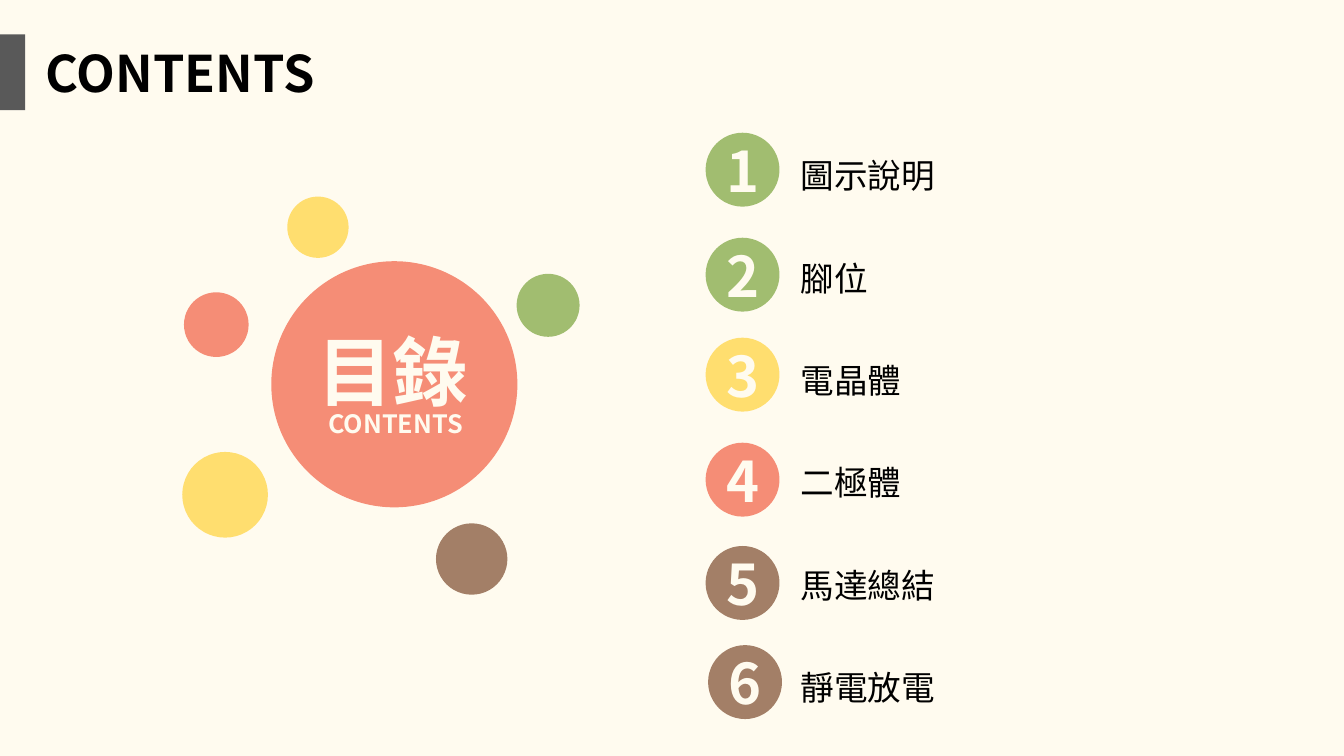
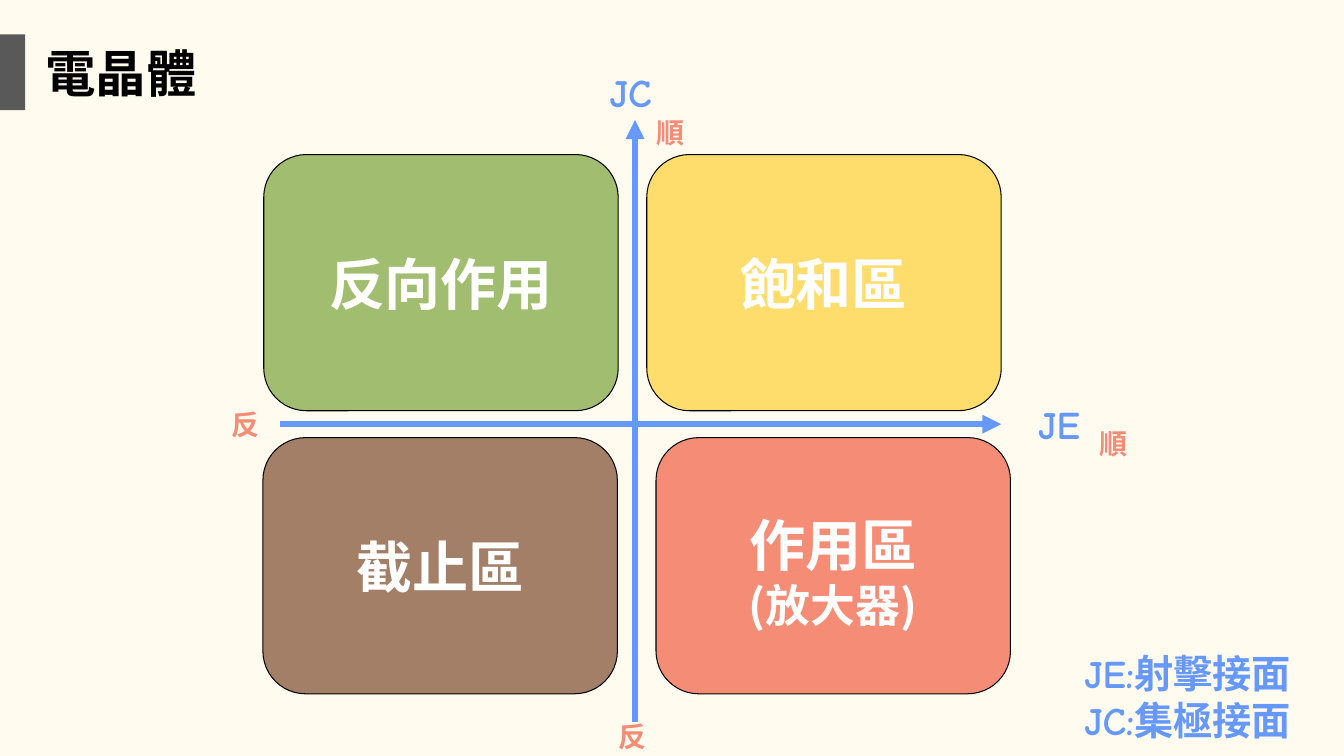
from lxml.etree import SubElement
from pptx import Presentation
from pptx.dml.color import RGBColor
from pptx.enum.shapes import MSO_CONNECTOR as Line, MSO_SHAPE as Shape
from pptx.enum.text import MSO_ANCHOR as Anchor, MSO_AUTO_SIZE as Fit, PP_ALIGN as Align
from pptx.oxml.ns import qn
from pptx.util import Inches, Pt

# Palette and fonts
CREAM, WHITE, BLACK, GREY = "FFFBEF", "FFFFFF", "000000", "595959"
GREEN, YELLOW, CORAL, BROWN = "A1BD70", "FFDE6F", "F58D76", "A37F67"
BLUE = "6699FF"
SANS, COMIC = "Noto Sans CJK SC", "Comic Neue"
LEADING = 1.2  # line pitch of stacked lines, in ems


def rgb(code):
    return RGBColor.from_string(code)


class Deck:
    """Shared style and the current slide; lengths are cells of a 160 x 90 grid."""

    COLUMNS, ROWS = 160, 90

    def __init__(self):
        self.prs = Presentation()
        self.prs.slide_width, self.prs.slide_height = Inches(13.33), Inches(7.5)
        backdrop = self.prs.slide_master.background.fill
        backdrop.solid()
        backdrop.fore_color.rgb = rgb(CREAM)
        self.slide = None

    def x(self, columns):
        return round(self.prs.slide_width * columns / self.COLUMNS)

    def y(self, rows):
        return round(self.prs.slide_height * rows / self.ROWS)

    def box(self, left, top, width, height):
        return self.x(left), self.y(top), self.x(width), self.y(height)

    def place(self, placeholder, *area):
        (placeholder.left, placeholder.top,
         placeholder.width, placeholder.height) = self.box(*area)
        return placeholder

    # Slide with side band and title
    def new_slide(self, title, layout):
        self.slide = self.prs.slides.add_slide(self.prs.slide_layouts[layout])
        self.shape(Shape.RECTANGLE, (0, 4.1, 3, 9), GREY)
        heading = self.place(self.slide.shapes.title, 4.2, 4.4, 40, 8.5)
        self.set_text(heading, [(title, 36)], BLACK)

    def set_text(self, holder, lines, color, latin=SANS, bold=True, align=Align.LEFT,
                 anchor=Anchor.MIDDLE, pitch=None):
        frame = holder.text_frame
        frame.word_wrap, frame.auto_size = True, Fit.NONE
        frame.vertical_anchor = anchor
        frame.text = "\n".join(text for text, _ in lines)
        for paragraph, (_, size) in zip(frame.paragraphs, lines):
            paragraph.alignment = align
            if pitch:
                paragraph.line_spacing = Pt(pitch * size)
            font = paragraph.font
            font.name, font.size, font.bold = latin, Pt(size), bold
            font.color.rgb = rgb(color)
            defaults = paragraph._p.pPr.find(qn("a:defRPr"))
            SubElement(defaults, qn("a:ea")).set("typeface", SANS)
        return frame

    def shape(self, kind, area, fill, outline=None):
        form = self.slide.shapes.add_shape(kind, *self.box(*area))
        form.shadow.inherit = False
        form.fill.solid()
        form.fill.fore_color.rgb = rgb(fill)
        if outline:
            form.line.color.rgb = rgb(outline)
            form.line.width = Pt(0.75)
        else:
            form.line.fill.background()
        return form

    def circle(self, left, top, size, fill):
        return self.shape(Shape.OVAL, (left, top, size, size), fill)

    def badge(self, left, top, number, fill):
        frame = self.set_text(self.circle(left, top, 8.8, fill), [(number, 40)],
                              CREAM, align=Align.CENTER)
        frame.margin_left = frame.margin_right = 0
        frame.margin_top = frame.margin_bottom = 0

    def label(self, area, text, size, color, latin=SANS):
        holder = self.slide.shapes.add_textbox(*self.box(*area))
        return self.set_text(holder, [(text, size)], color, latin)

    # Plain list in the body placeholder, one entry per fixed pitch
    def entries(self, area, texts, size, pitch):
        body = self.place(self.slide.placeholders[1], *area)
        frame = self.set_text(body, [(text, size) for text in texts], BLACK,
                              bold=False, anchor=Anchor.TOP, pitch=pitch / size)
        frame.margin_top = 0
        for paragraph in frame.paragraphs:
            paragraph.space_before = Pt(0)
            props = paragraph._p.pPr
            props.set("marL", "0")
            props.set("indent", "0")
            bullet = SubElement(props, qn("a:buNone"))
            props.find(qn("a:defRPr")).addprevious(bullet)

    def axis(self, start, end):
        arrow = self.slide.shapes.add_connector(
            Line.STRAIGHT, self.x(start[0]), self.y(start[1]),
            self.x(end[0]), self.y(end[1]))
        arrow.line.color.rgb = rgb(BLUE)
        arrow.line.width = Pt(4.5)
        SubElement(arrow.line._get_or_add_ln(), qn("a:tailEnd")).set("type", "triangle")
        SubElement(arrow._element.spPr, qn("a:effectLst"))

    def quadrant(self, left, top, lines, fill):
        panel = self.shape(Shape.ROUNDED_RECTANGLE, (left, top, 42.2, 30.5), fill, BLACK)
        stacked = len(lines) > 1
        frame = self.set_text(panel, lines, WHITE, align=Align.CENTER,
                              pitch=LEADING if stacked else None)
        if stacked:
            frame.margin_top = Inches(0.16)


def contents_slide(deck):
    deck.new_slide("CONTENTS", 1)

    # Central circle and its satellites
    deck.circle(32.3, 31.1, 29.3, CORAL)
    deck.label((36.6, 38, 22, 12.1), "目錄", 54, CREAM)
    deck.label((37.9, 48, 20, 4.8), "CONTENTS", 18, CREAM)
    for satellite in [(21.7, 53.8, 10.2, YELLOW), (21.9, 34.8, 7.7, CORAL),
                      (34.2, 23.4, 7.3, YELLOW), (61.5, 32.6, 7.5, GREEN),
                      (51.9, 62.3, 8.5, BROWN)]:
        deck.circle(*satellite)

    # Numbered chapters
    chapters = [("圖示說明", 84, 15.8, GREEN), ("腳位", 84, 28.3, GREEN),
                ("電晶體", 84, 40.2, YELLOW), ("二極體", 84, 52.7, CORAL),
                ("馬達總結", 84, 65, BROWN), ("靜電放電", 84.3, 76.8, BROWN)]
    for number, (_, left, top, fill) in enumerate(chapters, 1):
        deck.badge(left, top, str(number), fill)
    deck.entries((94.1, 11.1, 40, 75), [chapter[0] for chapter in chapters], 24, 73.1)


def transistor_slide(deck):
    deck.new_slide("電晶體", 5)

    # Axes with their names and bias directions
    deck.axis((33.3, 50.5), (119.2, 50.5))
    deck.axis((75.6, 85.9), (75.6, 14.3))
    for name, left, top in [("JE", 122.4, 47), ("JC", 71.4, 7.5)]:
        deck.label((left, top, 8.5, 6.9), name, 28, BLUE, COMIC)
    for bias, left, top in [("順", 129.7, 50.1), ("順", 77, 13.1),
                            ("反", 26.4, 47.9), ("反", 72.4, 85)]:
        deck.label((left, top, 7.4, 5.3), bias, 20, CORAL)

    # Operating regions
    deck.quadrant(77, 18.4, [("飽和區", 40)], "FFDD6C")
    deck.quadrant(31.4, 18.4, [("反向作用", 40)], GREEN)
    deck.quadrant(31.3, 52.1, [("截止區", 40)], BROWN)
    deck.quadrant(78.1, 52.1, [("作用區", 40), ("(放大器)", 32)], CORAL)

    # Legend of the junctions
    legend = deck.slide.shapes.add_textbox(*deck.box(127.9, 76.7, 32.1, 12.5))
    deck.set_text(legend, [("JE:射擊接面", 28), ("JC:集極接面", 28)], BLUE, COMIC,
                  pitch=LEADING)


def main():
    deck = Deck()
    contents_slide(deck)
    transistor_slide(deck)
    deck.prs.save("out.pptx")


if __name__ == "__main__":
    main()
